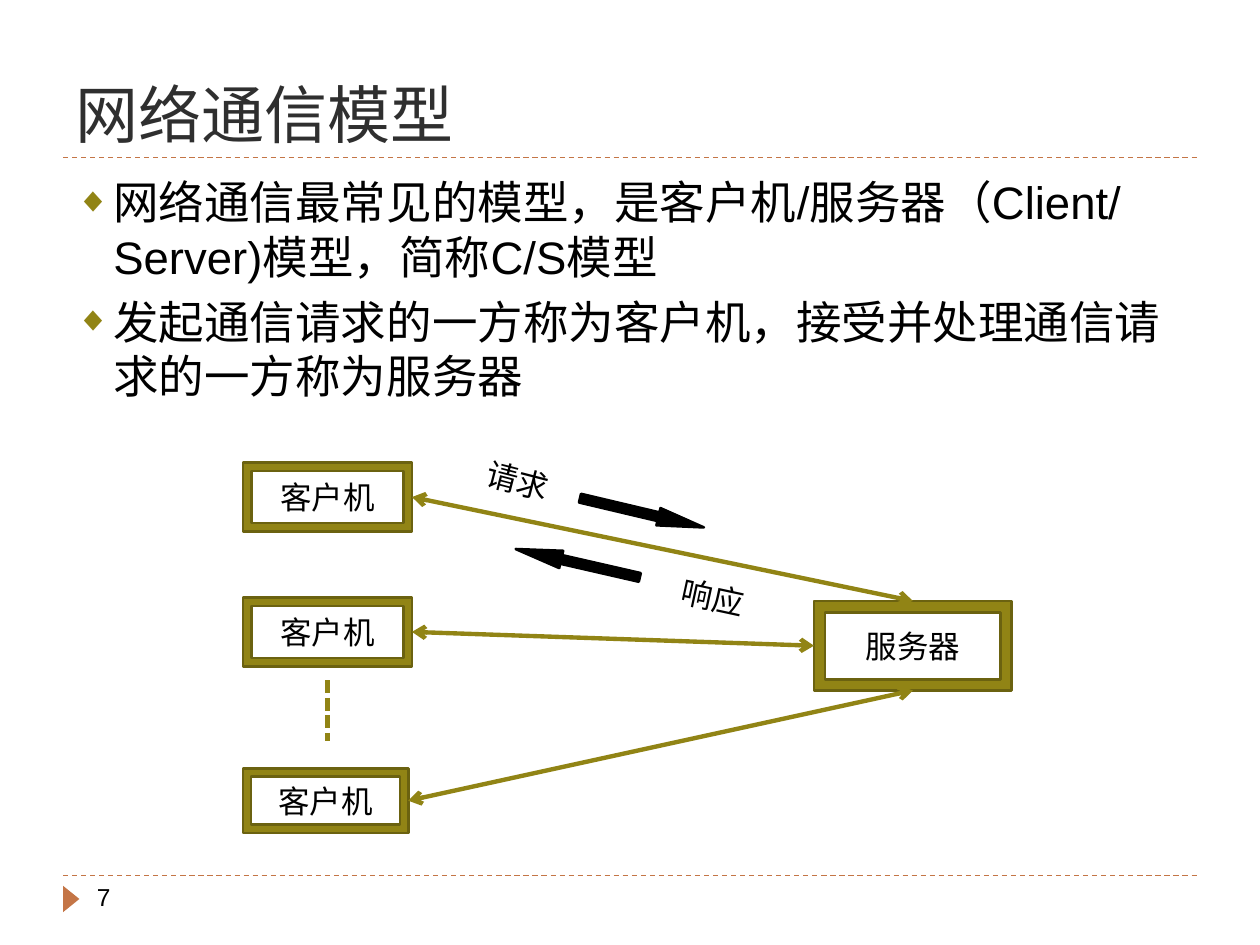
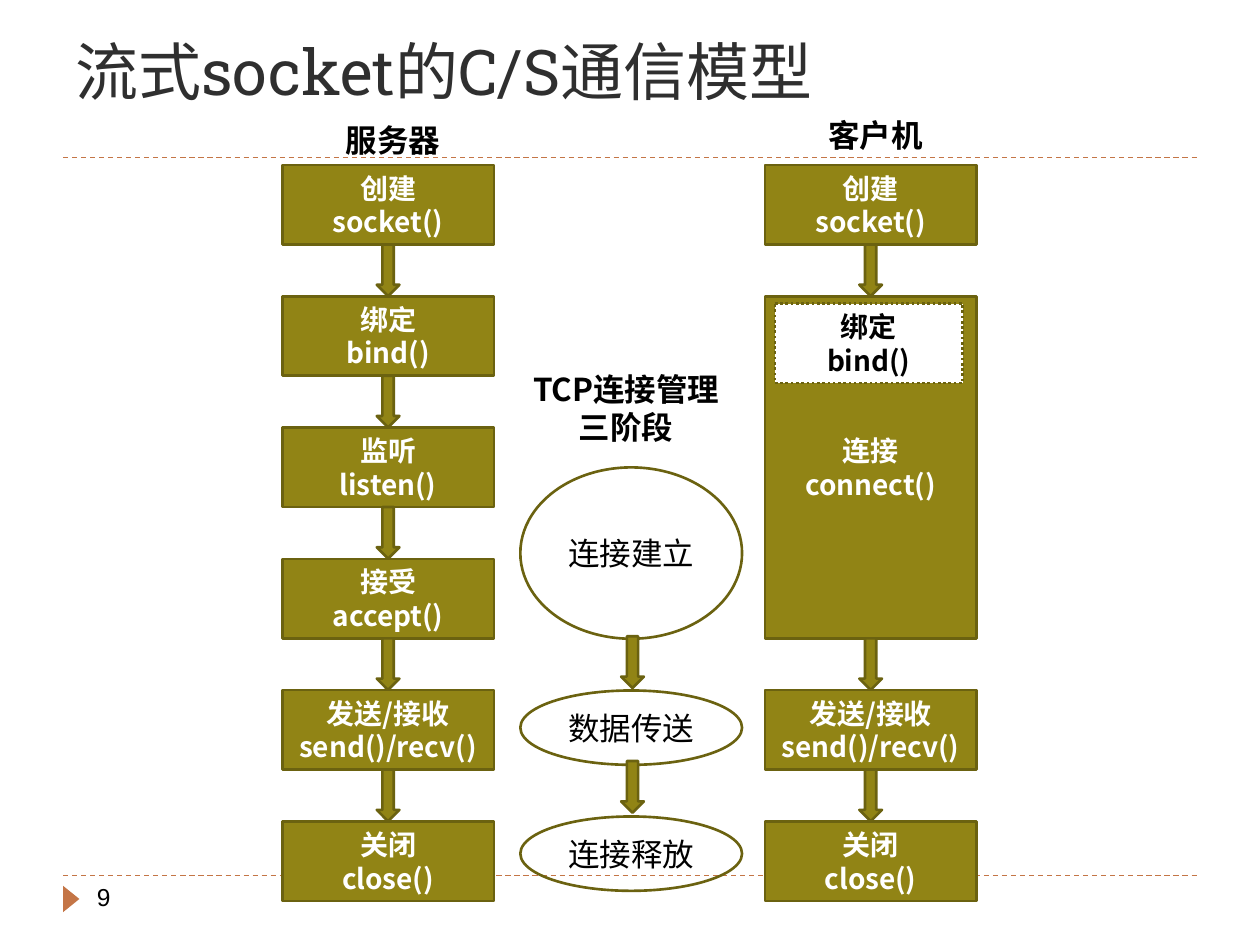
import pptx
import pptx.dml.color
import pptx.enum.dml
import pptx.enum.lang
import pptx.enum.shapes
import pptx.enum.text
import pptx.util
from lxml import etree
from pptx.oxml.ns import qn

Inches = pptx.util.Inches
Pt = pptx.util.Pt
RGBColor = pptx.dml.color.RGBColor
SHAPE = pptx.enum.shapes.MSO_SHAPE
DASH = pptx.enum.dml.MSO_LINE
ALIGN = pptx.enum.text.PP_ALIGN
ANCHOR = pptx.enum.text.MSO_ANCHOR
CHINESE = pptx.enum.lang.MSO_LANGUAGE_ID.SIMPLIFIED_CHINESE

OLIVE = RGBColor(0x91, 0x84, 0x15)
DARK_OLIVE = RGBColor(0x6B, 0x62, 0x10)
ORANGE = RGBColor(0xC4, 0x75, 0x46)
CHARCOAL = RGBColor(0x2F, 0x2F, 0x2F)
BLACK = RGBColor(0, 0, 0)
WHITE = RGBColor(0xFF, 0xFF, 0xFF)

TITLE_FONT = "Roboto Slab"
BODY_FONT = "Arial"
LABEL_FONT = "Calibri"
BOLD_FONT = "Noto Sans CJK SC"
LINE_PITCH = 1.2
TITLE_AND_BODY, TITLE_ONLY = 1, 5
TOP, LEFT, BOTTOM, RIGHT = range(4)


class Deck:
    """Holds the shared style and the slide being built."""

    def __init__(self):
        self.prs = pptx.Presentation()
        self.prs.slide_width = Inches(10)
        self.prs.slide_height = Inches(7.5)
        self.slide = None

    def new_slide(self, layout, title, number, title_height):
        self.slide = self.prs.slides.add_slide(self.prs.slide_layouts[layout])
        # Rules and footer marker
        for y in (6.95, 1.25):
            self.line((0.5, y), (9.5, y), ORANGE, 0.75, DASH.DASH)
        self.shape(SHAPE.ISOSCELES_TRIANGLE, (0.46, 7.07, 0.21, 0.13),
                   fill=ORANGE, outline=None, rotation=90)
        self.text((0.67, 6.95, 2.17, 0.4), str(number), 14, BODY_FONT,
                  align=ALIGN.LEFT)
        # Title
        heading = self.slide.shapes.title
        self.place(heading, (0.5, 0.17, 9, title_height))
        self.fill_text(heading.text_frame, [title], 36, TITLE_FONT, CHARCOAL,
                       align=ALIGN.LEFT, anchor=ANCHOR.BOTTOM)

    def place(self, item, box):
        item.left, item.top, item.width, item.height = map(Inches, box)

    def fill_text(self, frame, lines, size, font, color=BLACK, bold=False,
                  align=ALIGN.CENTER, anchor=ANCHOR.MIDDLE):
        frame.word_wrap = True
        frame.auto_size = pptx.enum.text.MSO_AUTO_SIZE.NONE
        frame.vertical_anchor = anchor
        for i, line in enumerate(lines):
            paragraph = frame.add_paragraph() if i else frame.paragraphs[0]
            paragraph.alignment = align
            paragraph.line_spacing = Pt(round(size * LINE_PITCH, 1))
            run = paragraph.add_run()
            run.text = line
            run.font.size = Pt(size)
            run.font.name = font
            run.font.bold = bold
            run.font.color.rgb = color
            run.font.language_id = CHINESE

    def bullets(self, box, lines):
        body = self.slide.placeholders[1]
        self.place(body, box)
        self.fill_text(body.text_frame, lines, 26, BODY_FONT,
                       align=ALIGN.LEFT, anchor=ANCHOR.TOP)
        for paragraph in body.text_frame.paragraphs:
            paragraph.space_before = Pt(6)
            props = paragraph._p.get_or_add_pPr()
            props.set("marL", str(Inches(0.3)))
            props.set("indent", str(-Inches(0.3)))
            bullet_color = etree.SubElement(props, qn("a:buClr"))
            etree.SubElement(bullet_color, qn("a:srgbClr"), val=str(OLIVE))
            etree.SubElement(props, qn("a:buSzPct"), val="76000")
            etree.SubElement(props, qn("a:buFont"), typeface=BODY_FONT)
            etree.SubElement(props, qn("a:buChar"), char="◆")

    def text(self, box, line, size=18, font=LABEL_FONT, bold=False,
             align=ALIGN.CENTER, anchor=ANCHOR.TOP, rotation=0):
        label = self.slide.shapes.add_textbox(*map(Inches, box))
        label.rotation = rotation
        self.fill_text(label.text_frame, [line], size, font, bold=bold,
                       align=align, anchor=anchor)

    def shape(self, kind, box, fill=OLIVE, outline=DARK_OLIVE, rotation=0):
        item = self.slide.shapes.add_shape(kind, *map(Inches, box))
        item.shadow.inherit = False
        item.rotation = rotation
        if fill is None:
            item.fill.background()
        else:
            item.fill.solid()
            item.fill.fore_color.rgb = fill
        if outline is None:
            item.line.fill.background()
        else:
            item.line.color.rgb = outline
            item.line.width = Pt(1.5)
        item.text_frame.margin_left = item.text_frame.margin_right = 0
        return item

    def frame(self, box, label):
        host = self.shape(SHAPE.FRAME, box)
        self.fill_text(host.text_frame, [label], 18, LABEL_FONT)
        return host

    def step(self, box, action, call, fill=OLIVE, color=WHITE):
        process = self.shape(SHAPE.FLOWCHART_PROCESS, box, fill)
        self.fill_text(process.text_frame, [action, call], 16, BOLD_FONT,
                       color, bold=True)
        return process

    def phase(self, box, label):
        ellipse = self.shape(SHAPE.OVAL, box, fill=None)
        self.fill_text(ellipse.text_frame, [label], 18, LABEL_FONT)

    def down_arrow(self, x, y):
        self.shape(SHAPE.DOWN_ARROW, (x, y, 0.18, 0.41))

    def block_arrow(self, box, rotation):
        arrow = self.shape(SHAPE.RIGHT_ARROW, box, BLACK, BLACK, rotation)
        arrow.adjustments[0] = 0.5
        arrow.adjustments[1] = 2.64

    def line(self, start, end, color=OLIVE, width=2.5, dash=None):
        rule = self.slide.shapes.add_connector(
            pptx.enum.shapes.MSO_CONNECTOR.STRAIGHT,
            *map(Inches, (*start, *end)))
        rule.line.color.rgb = color
        rule.line.width = Pt(width)
        if dash is not None:
            rule.line.dash_style = dash
        etree.SubElement(rule._element.spPr, qn("a:effectLst"))
        return rule

    def link(self, client, server, side):
        """Two-way arrow from a client's right side to a server's side."""
        channel = self.line((0, 0), (1, 1))
        channel.begin_connect(client, RIGHT)
        channel.end_connect(server, side)
        outline = channel.line._get_or_add_ln()
        for end in ("a:headEnd", "a:tailEnd"):
            etree.SubElement(outline, qn(end), type="arrow")


def build_network_model(deck):
    deck.new_slide(TITLE_AND_BODY, "网络通信模型", 7, 1.08)
    deck.bullets((0.5, 1.33, 9, 5.4), [
        "网络通信最常见的模型，是客户机/服务器（Client/Server)模型，简称C/S模型",
        "发起通信请求的一方称为客户机，接受并处理通信请求的一方称为服务器",
    ])

    # Clients and server
    clients = [deck.frame((1.93, y, width, height), "客户机")
               for y, width, height in ((3.67, 1.34, 0.55),
                                        (4.74, 1.34, 0.55),
                                        (6.1, 1.31, 0.51))]
    deck.line((2.6, 5.4), (2.6, 5.88), dash=DASH.SQUARE_DOT)
    server = deck.frame((6.46, 4.77, 1.57, 0.71), "服务器")
    for client, side in zip(clients, (TOP, LEFT, BOTTOM)):
        deck.link(client, server, side)

    # Request and response
    for label, x, y, angle in (("请求", 3.6, 3.67, 14.5),
                               ("响应", 5.15, 4.6, 12.2)):
        deck.text((x, y, 1.02, 0.28), label, anchor=ANCHOR.MIDDLE,
                  rotation=angle)
    deck.block_arrow((4.59, 4, 1.01, 0.14), 13.3)
    deck.block_arrow((4.08, 4.4, 1.01, 0.14), 192.9)


def build_socket_model(deck):
    deck.new_slide(TITLE_ONLY, "流式socket的C/S通信模型", 9, 0.74)
    server_x, phase_x, client_x = 2.24, 4.13, 6.07
    step_width, step_height = 1.68, 0.63
    row_y = [1.31 + 5.21 * row / 5 for row in range(6)]
    create = ("创建", "socket()")
    bind = ("绑定", "bind()")
    transfer = ("发送/接收", "send()/recv()")
    close = ("关闭", "close()")

    # Server column
    deck.text((2.28, 0.91, step_width, 0.4), "服务器", font=BOLD_FONT, bold=True)
    server_steps = (create, bind, ("监听", "listen()"), ("接受", "accept()"),
                    transfer, close)
    for y, (action, call) in zip(row_y, server_steps):
        deck.step((server_x, y, step_width, step_height), action, call)
    for y in row_y[:-1]:
        deck.down_arrow(server_x + 0.75, y + step_height)

    # Client column, where connecting spans three rows
    deck.text((6.11, 0.87, step_width, 0.4), "客户机", font=BOLD_FONT, bold=True)
    client_steps = ((0, 0, create), (1, 3, ("连接", "connect()")),
                    (4, 4, transfer), (5, 5, close))
    for first, last, (action, call) in client_steps:
        height = row_y[last] - row_y[first] + step_height
        deck.step((client_x, row_y[first], step_width, height), action, call)
        if last < 5:
            deck.down_arrow(client_x + 0.75, row_y[last] + step_height)
    optional_bind = deck.step((6.15, 2.41, 1.49, step_height), *bind,
                              fill=WHITE, color=BLACK)
    optional_bind.line.dash_style = DASH.ROUND_DOT

    # Connection phases
    deck.text((phase_x, 2.89, step_width, 0.71), "TCP连接管理三阶段",
              font=BOLD_FONT, bold=True)
    for label, y, height in (("连接建立", 3.71, 1.36), ("数据传送", 5.48, 0.59),
                             ("连接释放", 6.48, 0.59)):
        deck.phase((phase_x, y, 1.76, height), label)
    for y in (5.05, 6.04):
        deck.down_arrow(phase_x + 0.8, y)


def main():
    deck = Deck()
    build_network_model(deck)
    build_socket_model(deck)
    deck.prs.save("out.pptx")


if __name__ == "__main__":
    main()
